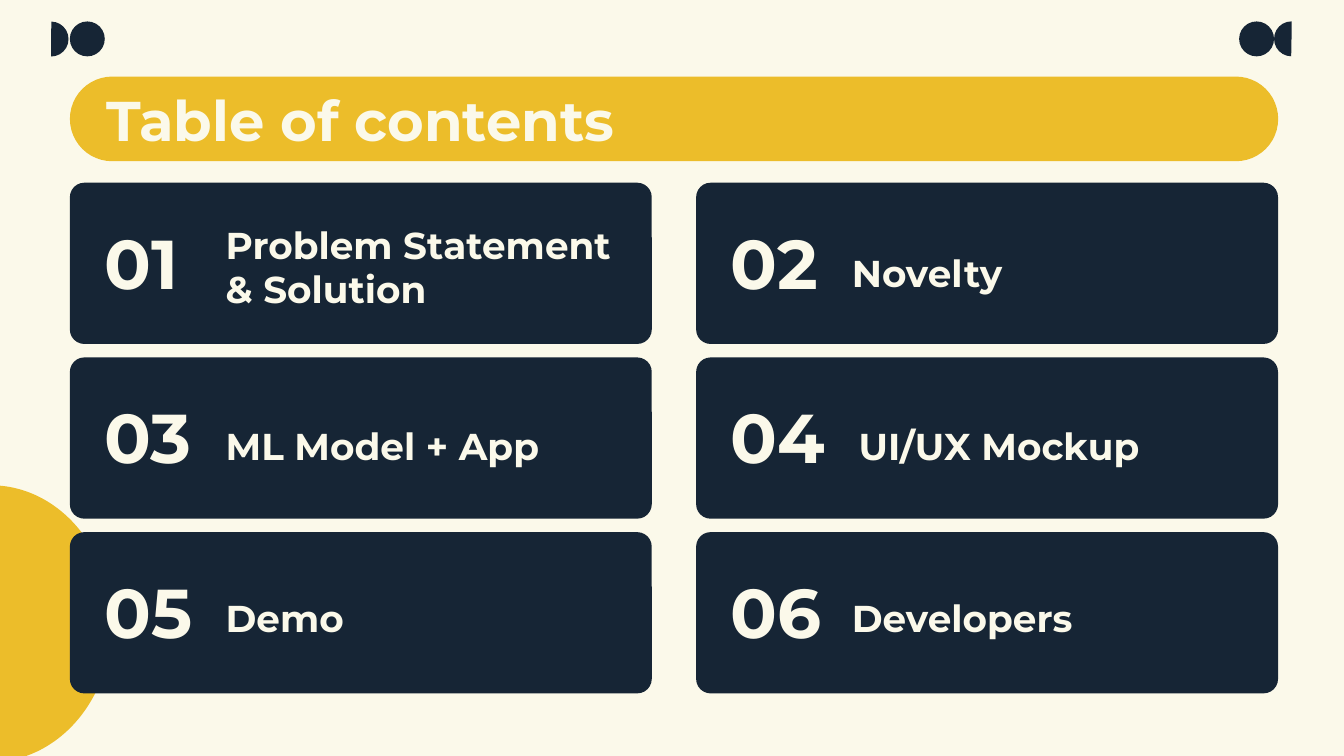
from dataclasses import dataclass

from pptx import Presentation
from pptx.dml.color import RGBColor
from pptx.enum.shapes import MSO_SHAPE
from pptx.enum.text import MSO_ANCHOR, MSO_AUTO_SIZE, PP_ALIGN
from pptx.shapes.autoshape import Shape
from pptx.slide import Slide
from pptx.text.text import TextFrame
from pptx.util import Inches, Pt

PIE, OVAL, ROUNDED = MSO_SHAPE.PIE, MSO_SHAPE.OVAL, MSO_SHAPE.ROUNDED_RECTANGLE
TOP, MIDDLE = MSO_ANCHOR.TOP, MSO_ANCHOR.MIDDLE
LEFT = PP_ALIGN.LEFT
NO_AUTOFIT = MSO_AUTO_SIZE.NONE

COLORS = {"cream": "FBF9EA", "navy": "162535", "yellow": "ECBD2A"}
FONT = "Montserrat"

SLIDE_WIDTH = 10
SLIDE_HEIGHT = SLIDE_WIDTH * 9 / 16
MARGIN = 0.52
CARD_WIDTH, CARD_HEIGHT = 4.33, 1.2
COLUMN_PITCH, ROW_PITCH = 4.66, 1.3
GRID_TOP = 1.36
COLUMNS = 2
BAR_TOP, BAR_HEIGHT = 0.57, 0.63
TITLE_INDENT = 0.27
DOT_SIZE, DOT_TOP = 0.26, 0.16
HALF_TURN = 162  # pie end angle of 270 degrees


@dataclass(frozen=True)
class Box:
    left: float
    top: float
    width: float
    height: float

    def inches(self) -> tuple[int, int, int, int]:
        return (Inches(self.left), Inches(self.top),
                Inches(self.width), Inches(self.height))


@dataclass(frozen=True)
class Entry:
    text: str
    label_drop: float
    label_indent: float = 1.06
    label_width: float = 3.1


ENTRIES = [
    Entry("Problem Statement\n& Solution", 0.19),
    Entry("Novelty", 0.4),
    Entry("ML Model + App", 0.39, label_width=3.62),
    Entry("UI/UX Mockup", 0.39, label_indent=1.11),
    Entry("Demo", 0.37),
    Entry("Developers", 0.37),
]


def color(name: str) -> RGBColor:
    return RGBColor.from_string(COLORS[name])


def add_filled(page: Slide, kind: MSO_SHAPE, box: Box, fill: str,
               adjustments: tuple[float, ...] = (), rotation: float = 0) -> Shape:
    shape = page.shapes.add_shape(kind, *box.inches())
    shape.shadow.inherit = False
    shape.fill.solid()
    shape.fill.fore_color.rgb = color(fill)
    shape.line.fill.background()
    shape.rotation = rotation
    for index, value in enumerate(adjustments):
        shape.adjustments[index] = value
    return shape


def set_text(frame: TextFrame, text: str, size: float,
             anchor: MSO_ANCHOR, inset: float) -> None:
    frame.text = text
    frame.word_wrap = True
    frame.auto_size = NO_AUTOFIT
    frame.vertical_anchor = anchor
    frame.margin_left = frame.margin_right = Inches(inset)
    frame.margin_top = frame.margin_bottom = Inches(inset)
    for paragraph in frame.paragraphs:
        paragraph.alignment = LEFT
        for span in paragraph.runs:
            span.font.name = FONT
            span.font.size = Pt(size)
            span.font.bold = True
            span.font.color.rgb = color("cream")


def add_text(page: Slide, box: Box, text: str, size: float,
             anchor: MSO_ANCHOR) -> None:
    text_box = page.shapes.add_textbox(*box.inches())
    set_text(text_box.text_frame, text, size, anchor, 0.1)


def add_corner_dots(page: Slide, half_left: float, dot_left: float,
                    rotation: float) -> None:
    add_filled(page, PIE, Box(half_left, DOT_TOP, DOT_SIZE, DOT_SIZE),
               "navy", (54.58, HALF_TURN), rotation)
    add_filled(page, OVAL, Box(dot_left, DOT_TOP, DOT_SIZE, DOT_SIZE), "navy")


def add_title(page: Slide) -> None:
    bar_width = COLUMN_PITCH + CARD_WIDTH
    bar = add_filled(page, ROUNDED, Box(MARGIN, BAR_TOP, bar_width, BAR_HEIGHT),
                     "yellow", (0.5,))
    title = page.shapes.title
    title.left, title.top, title.width, title.height = Box(
        MARGIN + TITLE_INDENT, BAR_TOP,
        bar_width - 2 * TITLE_INDENT, BAR_HEIGHT).inches()
    set_text(title.text_frame, "Table of contents", 30, MIDDLE, 0)
    bar.element.addnext(title.element)


def add_entry(page: Slide, index: int, entry: Entry) -> None:
    row, column = divmod(index, COLUMNS)
    left = MARGIN + column * COLUMN_PITCH
    top = GRID_TOP + row * ROW_PITCH
    add_filled(page, ROUNDED, Box(left, top, CARD_WIDTH, CARD_HEIGHT),
               "navy", (0.09,))
    add_text(page, Box(left + 0.16, top + 0.13, 0.96, 0.91),
             f"{index + 1:02}", 37, MIDDLE)
    add_text(page, Box(left + entry.label_indent, top + entry.label_drop,
                       entry.label_width, 0.43), entry.text, 20, TOP)


def main() -> None:
    deck = Presentation()
    deck.slide_width, deck.slide_height = Inches(SLIDE_WIDTH), Inches(SLIDE_HEIGHT)
    page = deck.slides.add_slide(deck.slide_layouts[5])
    page.background.fill.solid()
    page.background.fill.fore_color.rgb = color("cream")

    add_filled(page, PIE, Box(-0.97, 3.61, 1.8, 2.06), "yellow",
               (53.46, HALF_TURN), 180)
    add_corner_dots(page, 0.25, MARGIN, 180)
    add_corner_dots(page, 9.48, 9.22, 0)
    add_title(page)
    for index, entry in enumerate(ENTRIES):
        add_entry(page, index, entry)
    deck.save("out.pptx")


if __name__ == "__main__":
    main()
